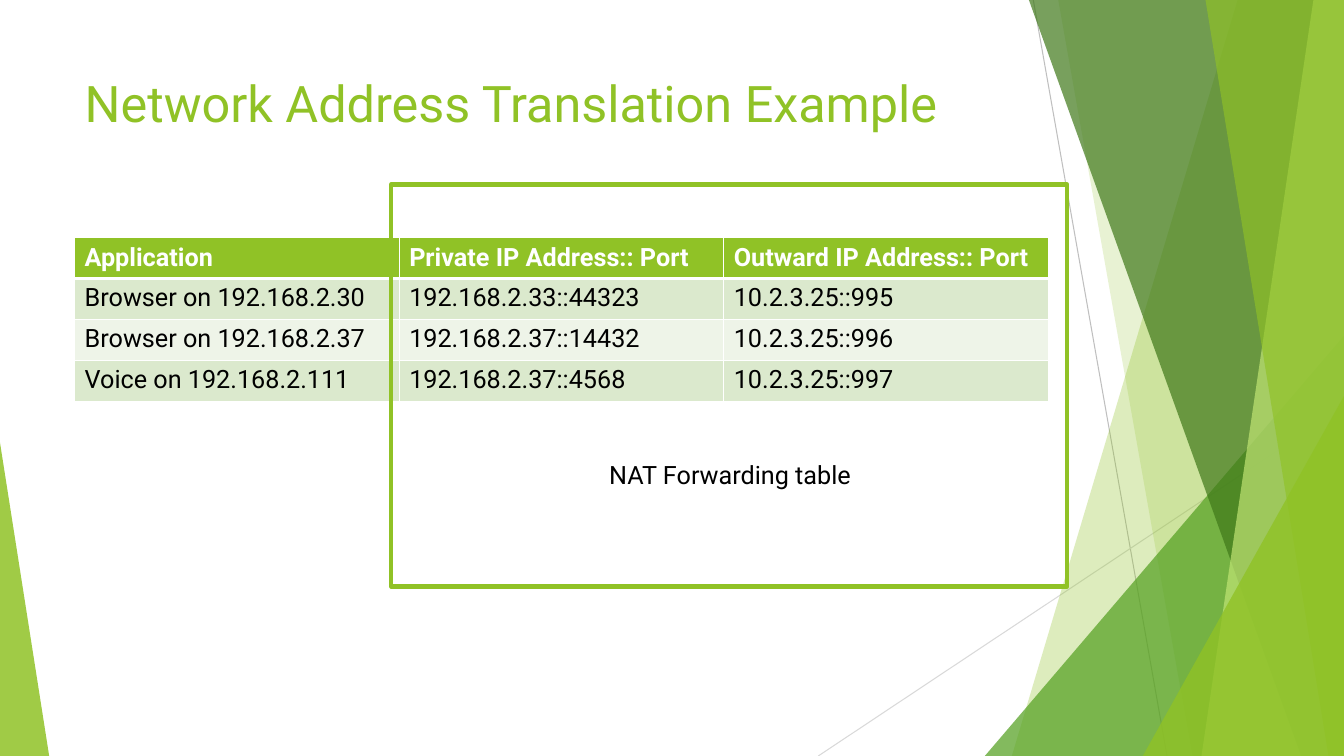
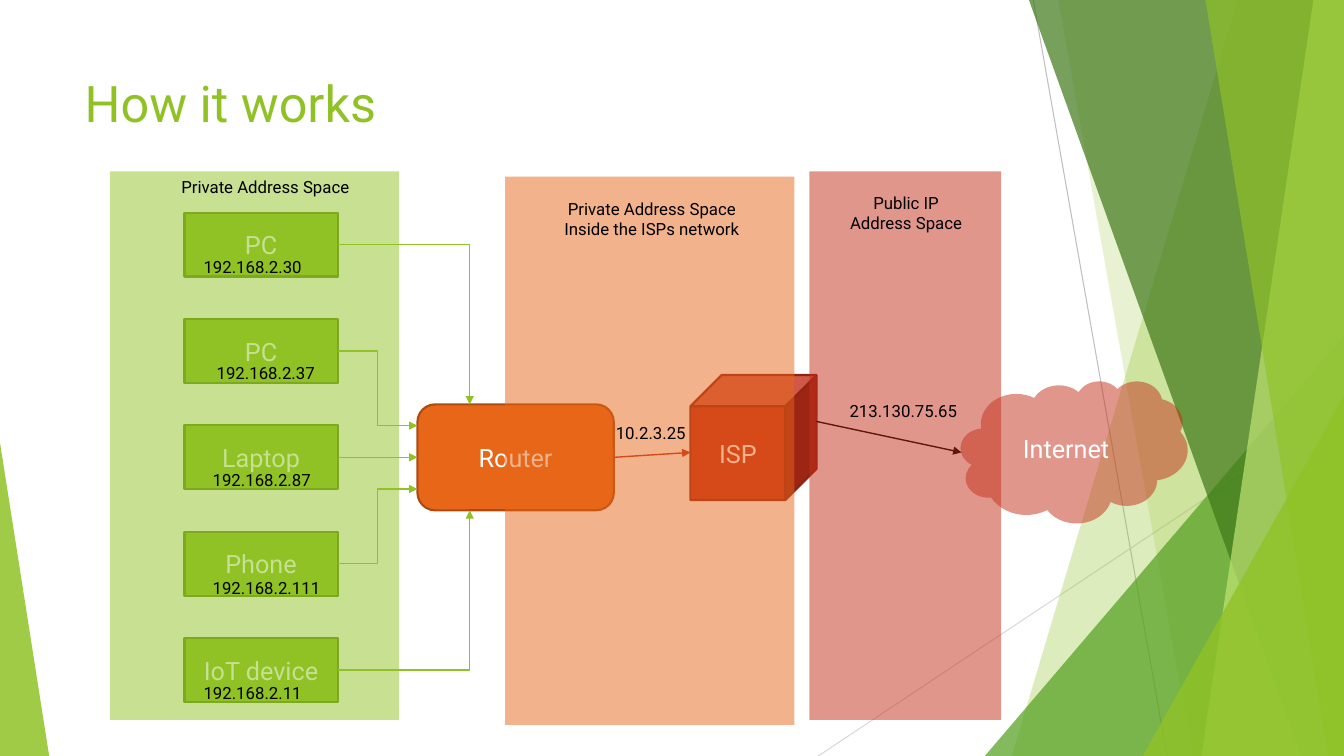
from pptx import Presentation
from pptx.dml.color import RGBColor
from pptx.enum.shapes import MSO_CONNECTOR, MSO_SHAPE
from pptx.enum.text import MSO_ANCHOR, PP_ALIGN
from pptx.oxml.ns import qn
from pptx.util import Cm, Pt
from lxml.etree import SubElement

WIDE, HIGH = 33.87, 19.05
GREEN, ORANGE, RED = "90C226", "E76618", "C42F1A"
BLACK, WHITE = "000000", "FFFFFF"


def tint(code):
    return RGBColor.from_string(code)


def cms(*sizes):
    return [Cm(size) for size in sizes]


class Deck:
    font = "Roboto"

    def __init__(self):
        self.show = Presentation()
        self.show.slide_width, self.show.slide_height = cms(WIDE, HIGH)
        self.base = self.show.slide_layouts[5]
        for holder in list(self.base.placeholders)[1:]:
            holder.element.getparent().remove(holder.element)
        self.slide = None

    def page(self, title):
        first = self.slide is None
        self.slide = self.show.slides.add_slide(self.base)
        if first:
            self.scene()
        head = self.slide.shapes.title
        head.left, head.top, head.width, head.height = cms(1.88, 1.7, 23.88, 3.66)
        self.letter(head.text_frame, title, 36, GREEN, PP_ALIGN.LEFT, MSO_ANCHOR.TOP)

    def scene(self):
        self.line((26.04, 0), (29.41, HIGH), "BFBFBF", 0.75, arrow=False)
        self.line((WIDE, 10.24), (20.62, HIGH), "D9D9D9", 0.75, arrow=False)
        self.blade(31.19, 25.5, GREEN, 30)
        self.blade(26.67, 30.05, GREEN, 20)
        self.wedge(24.82, 8.46, 9.05, 1, "54A021", 72)
        self.blade(25.93, 32.79, "3F7819", 70)
        self.blade(33.1, 30.28, "C0E474", 70)
        self.blade(30.38, 33.48, GREEN, 65)
        self.wedge(28.8, 9.98, 5.07, 1, GREEN, 80)
        self.wedge(0, 11.15, 1.24, 0, GREEN, 85)
        for shape in list(self.slide.shapes):
            if not shape.is_placeholder:
                self.base.shapes.element.append(shape.element)

    def blade(self, top, foot, fill, alpha):
        pen = self.slide.shapes.build_freeform(*cms(top, 0), scale=1.0)
        ends = [(WIDE, 0), (WIDE, HIGH), (foot, HIGH)]
        pen.add_line_segments([cms(*end) for end in ends], close=True)
        self.paint(pen.convert_to_shape(), fill, alpha)

    def wedge(self, left, top, width, tip, fill, alpha):
        place = (left, top, width, HIGH - top)
        shape = self.box(MSO_SHAPE.ISOSCELES_TRIANGLE, place, fill, alpha=alpha)
        shape.adjustments[0] = tip

    def paint(self, shape, fill=None, alpha=100, edge=None, weight=1.5):
        shape.shadow.inherit = False
        if fill:
            shape.fill.solid()
            shape.fill.fore_color.rgb = tint(fill)
            if alpha < 100:
                color = shape.element.spPr.find(".//" + qn("a:srgbClr"))
                SubElement(color, qn("a:alpha")).set("val", str(alpha * 1000))
        else:
            shape.fill.background()
        if edge:
            shape.line.color.rgb = tint(edge)
            shape.line.width = Pt(weight)
        else:
            shape.line.fill.background()

    def box(self, kind, place, fill=None, words="", **look):
        shape = self.slide.shapes.add_shape(kind, *cms(*place))
        self.paint(shape, fill, **look)
        if words:
            self.letter(shape.text_frame, words, 18, WHITE, PP_ALIGN.CENTER, MSO_ANCHOR.MIDDLE)
        return shape

    def letter(self, frame, words, size, color, align=PP_ALIGN.LEFT, anchor=None, bold=False):
        frame.text = words
        frame.word_wrap = True
        if anchor is not None:
            frame.vertical_anchor = anchor
        for para in frame.paragraphs:
            para.alignment = align
            for run in para.runs:
                font = run.font
                font.name, font.size, font.bold = self.font, Pt(size), bold
                font.color.rgb = tint(color)

    def label(self, place, words, size=12, align=PP_ALIGN.LEFT):
        frame = self.slide.shapes.add_textbox(*cms(*place)).text_frame
        self.letter(frame, words, size, BLACK, align)

    def line(self, start, end, color, weight=1, kind=MSO_CONNECTOR.STRAIGHT, arrow=True, corner=False):
        link = self.slide.shapes.add_connector(kind, *cms(*start, *end))
        link.line.color.rgb = tint(color)
        link.line.width = Pt(weight)
        props = link.element.spPr
        SubElement(props, qn("a:effectLst"))
        if arrow:
            SubElement(props.find(qn("a:ln")), qn("a:tailEnd")).set("type", "triangle")
        if corner:
            props.find(qn("a:prstGeom")).set("prst", "bentConnector2")

    def edge(self, cell, side, weight):
        props = cell._tc.get_or_add_tcPr()
        rule = SubElement(props, qn("a:ln" + side), w=str(Pt(weight)))
        fill = SubElement(rule, qn("a:solidFill"))
        SubElement(fill, qn("a:srgbClr")).set("val", WHITE)

    def grid(self, left, top, width, height, rows):
        count = len(rows[0])
        place = cms(left, top, width * count, height * len(rows))
        table = self.slide.shapes.add_table(len(rows), count, *place).table
        for column in table.columns:
            column.width = Cm(width)
        for r, row in enumerate(rows):
            table.rows[r].height = Cm(height)
            for c, words in enumerate(row):
                cell = table.cell(r, c)
                for side in "LRTB":
                    thick = (r, side) in ((0, "B"), (1, "T"))
                    self.edge(cell, side, 3 if thick else 1)
                cell.fill.solid()
                shade = GREEN if r == 0 else ("EEF4E8", "DBE9CD")[r % 2]
                cell.fill.fore_color.rgb = tint(shade)
                ink = BLACK if r else WHITE
                self.letter(cell.text_frame, words, 18, ink, bold=r == 0)


def table_page(deck):
    deck.page("Network Address Translation Example")
    deck.grid(1.88, 5.99, 8.18, 1.03, [
        ("Application", "Private IP Address:: Port", "Outward IP Address:: Port"),
        ("Browser on 192.168.2.30", "192.168.2.33::44323", "10.2.3.25::995"),
        ("Browser on 192.168.2.37", "192.168.2.37::14432", "10.2.3.25::996"),
        ("Voice on 192.168.2.111", "192.168.2.37::4568", "10.2.3.25::997"),
    ])
    deck.box(MSO_SHAPE.RECTANGLE, (9.86, 4.65, 17.04, 10.13), edge=GREEN, weight=3)
    deck.label((12.42, 11.46, 11.96, 1.02), "NAT Forwarding table", 18, PP_ALIGN.CENTER)


def flow_page(deck):
    deck.page("How it works")
    left, top, width, height, step = 4.65, 5.36, 3.86, 1.61, 2.68
    hosts = [
        ("PC", "192.168.2.30", 4.88, 6.35),
        ("PC", "192.168.2.37", 5.21, 9.02),
        ("Laptop", "192.168.2.87", 5.11, 11.71),
        ("Phone", "192.168.2.111", 5.11, 14.43),
        ("IoT device", "192.168.2.11", 4.88, 17.09),
    ]
    for i, host in enumerate(hosts):
        place = (left, top + i * step, width, height)
        deck.box(MSO_SHAPE.RECTANGLE, place, GREEN, host[0], edge="6B901C")

    gate = (10.52, 10.19, 4.95, 2.67)
    deck.box(MSO_SHAPE.ROUNDED_RECTANGLE, gate, ORANGE, "Router", edge="AB4B12")
    deck.box(MSO_SHAPE.CLOUD, (24.21, 9.6, 5.72, 3.58), RED, "Internet", alpha=50)
    deck.box(MSO_SHAPE.CUBE, (17.4, 9.45, 3.18, 3.15), RED, "ISP", edge="912313")

    mid = gate[1] + gate[3] / 2
    ends = [(11.84, gate[1]), (gate[0], mid - 0.8), (gate[0], mid),
            (gate[0], mid + 0.8), (11.84, gate[1] + gate[3])]
    for i, end in enumerate(ends):
        start = (left + width, mid + (i - 2) * step)
        kind = MSO_CONNECTOR.STRAIGHT if i == 2 else MSO_CONNECTOR.ELBOW
        deck.line(start, end, GREEN, kind=kind, corner=i in (0, 4))
    deck.line((gate[0] + gate[2], mid), (17.4, 11.4), RED)
    deck.line((20.57, 10.62), (24.23, 11.4), BLACK)

    zones = [(2.77, 4.32, 7.29, GREEN), (12.73, 4.45, 7.29, ORANGE), (20.4, 4.32, 4.83, RED)]
    for x, y, span, color in zones:
        deck.box(MSO_SHAPE.RECTANGLE, (x, y, span, 13.82), color, alpha=50)

    notes = [host[1:] for host in hosts] + [
        ("Private Address Space", 4.32, 4.34),
        ("10.2.3.25", 15.27, 10.54),
        ("213.130.75.65", 21.16, 9.98),
    ]
    for words, x, y in notes:
        deck.label((x, y, 5.74, 0.76), words)
    deck.label((13.56, 4.88, 5.74, 1.27), "Private Address Space\nInside the ISPs network", align=PP_ALIGN.CENTER)
    deck.label((20.93, 4.72, 3.81, 1.27), "Public IP Address Space", align=PP_ALIGN.CENTER)


def main():
    deck = Deck()
    table_page(deck)
    flow_page(deck)
    deck.show.save("out.pptx")


if __name__ == "__main__":
    main()
